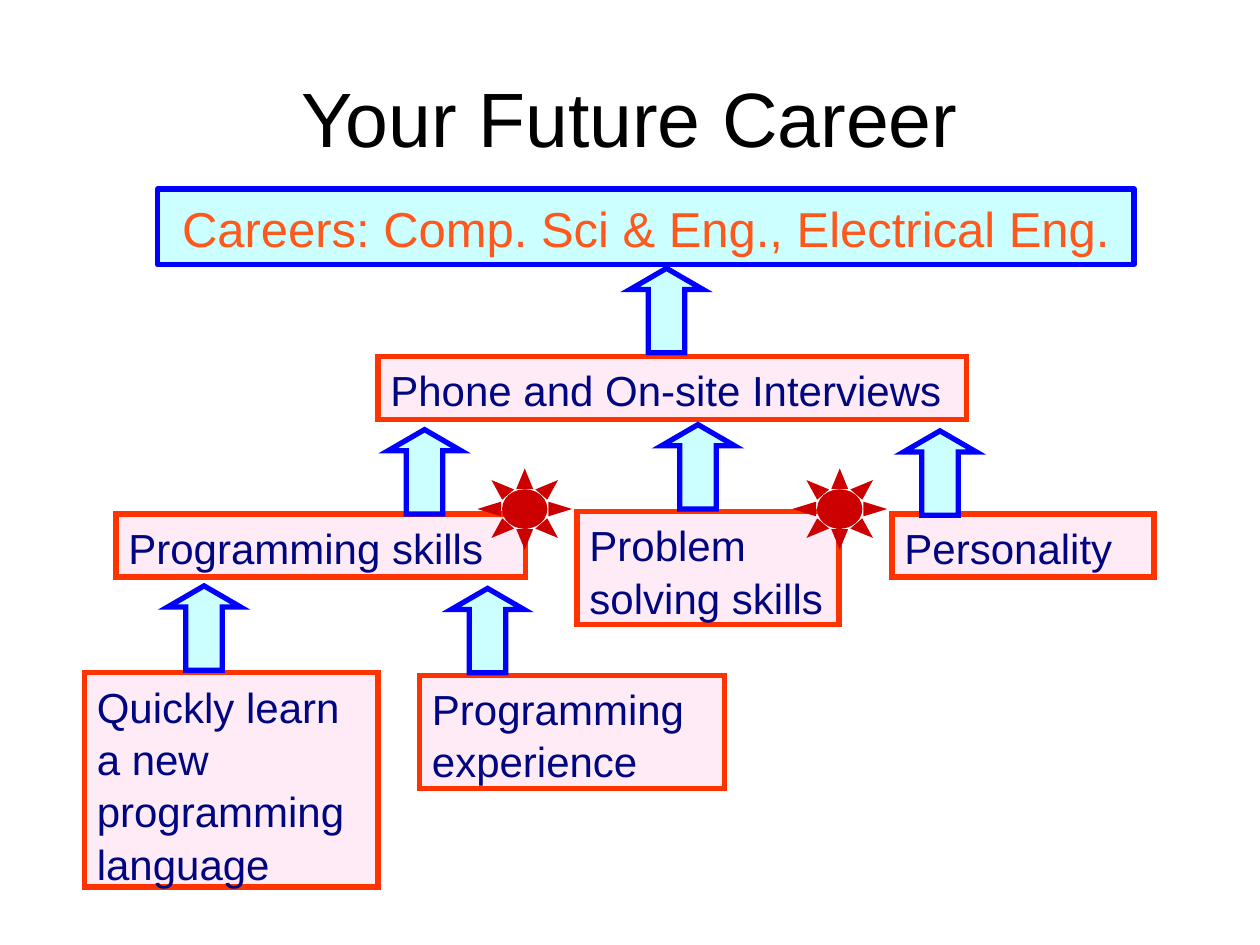
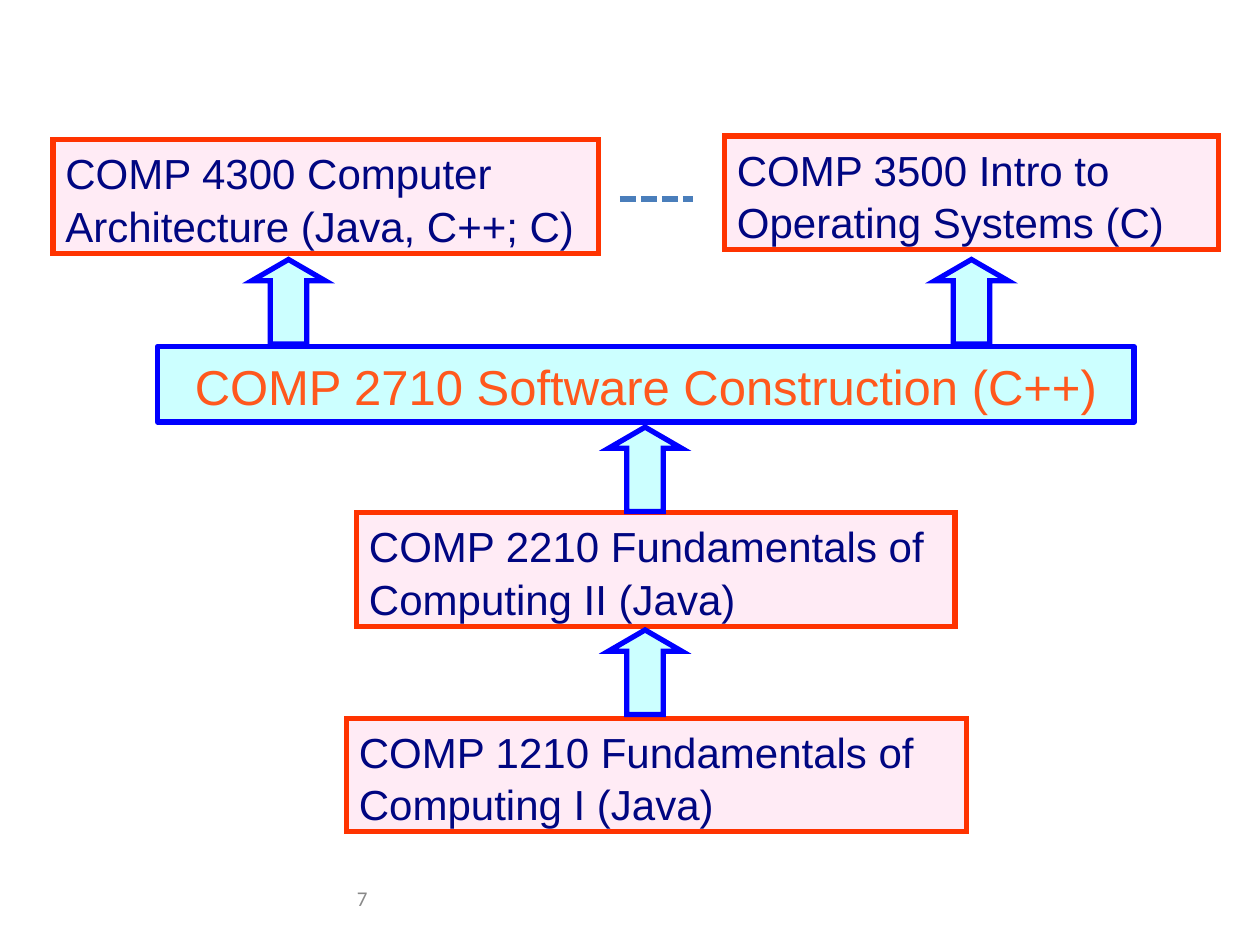
import dataclasses

import pptx
import pptx.dml.color
import pptx.enum.dml
import pptx.enum.shapes
import pptx.enum.text
import pptx.oxml
import pptx.oxml.ns
import pptx.shapes.autoshape
import pptx.slide
import pptx.text.text
import pptx.util

Inches = pptx.util.Inches
Pt = pptx.util.Pt
Shape = pptx.shapes.autoshape.Shape
Slide = pptx.slide.Slide
Forms = pptx.enum.shapes.MSO_SHAPE
Align = pptx.enum.text.PP_ALIGN
Anchor = pptx.enum.text.MSO_ANCHOR

COLORS = {
    "black": "000000",
    "gray": "898989",
    "aqua": "CCFFFF",
    "blue": "0000FF",
    "orange": "FF581D",
    "pink": "FFEBF5",
    "red": "FF3300",
    "navy": "000681",
    "sun": "CC0000",
    "dash": "4A7EBB",
}
ARROW = (0.58, 0.67)
SUN = (0.67, 0.58)
BANNER = (1.25, 7.75, 0.6)
ONE_LINE, TWO_LINES, FOUR_LINES = (0.1 + 0.4 * n for n in (1, 2, 4))


@dataclasses.dataclass(frozen=True)
class Look:
    fill: str
    line: str
    width: float = 3
    miter: bool = True


@dataclasses.dataclass(frozen=True)
class Type:
    size: float
    color: str
    align: Align = Align.LEFT
    anchor: Anchor = Anchor.TOP
    font: str = "Arial"
    space: float = 1.04


@dataclasses.dataclass(frozen=True)
class Box:
    text: str
    left: float
    top: float
    width: float
    height: float


@dataclasses.dataclass(frozen=True)
class Spot:
    left: float
    top: float


BOX_LOOK = Look("pink", "red")
ARROW_LOOK = Look("aqua", "blue")
BANNER_LOOK = Look("aqua", "blue", miter=False)
SUN_LOOK = Look("sun", "sun", 1.75)

BOX_TYPE = Type(24, "navy")
BANNER_TYPE = Type(28, "orange", Align.CENTER, Anchor.MIDDLE)
TITLE_TYPE = Type(44, "black", Align.CENTER, Anchor.MIDDLE, space=1)
PAGE_TYPE = Type(12, "gray", Align.CENTER, Anchor.MIDDLE, "Calibri", 1)

SKILLS = [
    Box("Phone and On-site Interviews", 3, 2.83, 4.67, ONE_LINE),
    Box("Programming skills", 0.92, 4.08, 3.25, ONE_LINE),
    Box("Problem solving skills", 4.58, 4.06, 2.08, TWO_LINES),
    Box("Personality", 7.08, 4.08, 2.08, ONE_LINE),
    Box("Quickly learn a new programming language", 0.67, 5.34, 2.33, FOUR_LINES),
    Box("Programming experience", 3.33, 5.36, 2.42, TWO_LINES),
]
SKILL_ARROWS = [
    Spot(5, 2.13),
    Spot(3.08, 3.41),
    Spot(5.25, 3.37),
    Spot(7.17, 3.42),
    Spot(1.33, 4.65),
    Spot(3.58, 4.67),
]
SUNS = [Spot(3.83, 3.75), Spot(6.33, 3.75)]

COURSES = [
    Box("COMP 1210 Fundamentals of Computing I (Java)", 2.75, 5.7, 4.92, TWO_LINES),
    Box("COMP 2210 Fundamentals of Computing II (Java)", 2.83, 4.07, 4.75, TWO_LINES),
    Box("COMP 4300 Computer Architecture (Java, C++; C)", 0.42, 1.11, 4.33, TWO_LINES),
    Box("COMP 3500 Intro to Operating Systems (C)", 5.75, 1.08, 3.92, TWO_LINES),
]
COURSE_ARROWS = [Spot(4.83, 5), Spot(4.83, 3.39), Spot(2, 2.06), Spot(7.42, 2.06)]


def get_color(name: str) -> pptx.dml.color.RGBColor:
    return pptx.dml.color.RGBColor.from_string(COLORS[name])


def write(frame: pptx.text.text.TextFrame, text: str, style: Type) -> None:
    frame.text = text
    frame.word_wrap = True
    frame.vertical_anchor = style.anchor
    line = frame.paragraphs[0]
    line.alignment = style.align
    line.line_spacing = style.space
    font = line.runs[0].font
    font.name = style.font
    font.size = Pt(style.size)
    font.color.rgb = get_color(style.color)


def draw(slide: Slide, form: Forms, left: float, top: float,
         width: float, height: float, look: Look) -> Shape:
    shape = slide.shapes.add_shape(
        form, Inches(left), Inches(top), Inches(width), Inches(height))
    shape.shadow.inherit = False
    shape.fill.solid()
    shape.fill.fore_color.rgb = get_color(look.fill)
    shape.line.color.rgb = get_color(look.line)
    shape.line.width = Pt(look.width)
    if look.miter:
        join = pptx.oxml.parse_xml(
            f'<a:miter {pptx.oxml.ns.nsdecls("a")} lim="800000"/>')
        shape.line._get_or_add_ln().append(join)
    return shape


def add_banner(slide: Slide, text: str, top: float) -> None:
    left, width, height = BANNER
    shape = draw(slide, Forms.RECTANGLE, left, top, width, height, BANNER_LOOK)
    write(shape.text_frame, text, BANNER_TYPE)


def add_boxes(slide: Slide, boxes: list[Box]) -> None:
    for box in boxes:
        shape = draw(slide, Forms.RECTANGLE, box.left, box.top,
                     box.width, box.height, BOX_LOOK)
        write(shape.text_frame, box.text, BOX_TYPE)


def add_arrows(slide: Slide, spots: list[Spot]) -> None:
    for spot in spots:
        shape = draw(slide, Forms.UP_ARROW, spot.left, spot.top, *ARROW, ARROW_LOOK)
        shape.adjustments[0] = 0.5
        shape.adjustments[1] = 0.29


def add_suns(slide: Slide, spots: list[Spot]) -> None:
    for spot in spots:
        draw(slide, Forms.SUN, spot.left, spot.top, *SUN, SUN_LOOK)


def add_title(slide: Slide, text: str) -> None:
    title = slide.shapes.title
    title.left, title.top = Inches(0.5), Inches(0.3)
    title.width, title.height = Inches(9), Inches(1.25)
    write(title.text_frame, text, TITLE_TYPE)


def add_dash(slide: Slide, left: float, right: float, top: float) -> None:
    dash = slide.shapes.add_connector(
        pptx.enum.shapes.MSO_CONNECTOR.STRAIGHT,
        Inches(left), Inches(top), Inches(right), Inches(top))
    dash.line.color.rgb = get_color("dash")
    dash.line.width = Pt(3)
    dash.line.dash_style = pptx.enum.dml.MSO_LINE.SQUARE_DOT
    dash._element.spPr.append(pptx.oxml.parse_xml(
        f'<a:effectLst {pptx.oxml.ns.nsdecls("a")}/>'))


def add_page(slide: Slide, text: str) -> None:
    page = slide.shapes.add_textbox(
        Inches(0.5), Inches(6.93), Inches(4.75), Inches(0.4))
    write(page.text_frame, text, PAGE_TYPE)


def build_career(deck: pptx.presentation.Presentation) -> None:
    slide = deck.slides.add_slide(deck.slide_layouts.get_by_name("Title Only"))
    add_title(slide, "Your Future Career")
    add_banner(slide, "Careers: Comp. Sci & Eng., Electrical Eng.", 1.5)
    add_boxes(slide, SKILLS)
    add_arrows(slide, SKILL_ARROWS)
    add_suns(slide, SUNS)


def build_courses(deck: pptx.presentation.Presentation) -> None:
    slide = deck.slides.add_slide(deck.slide_layouts.get_by_name("Blank"))
    add_page(slide, "7")
    add_banner(slide, "COMP 2710 Software Construction (C++)", 2.75)
    add_boxes(slide, COURSES)
    add_arrows(slide, COURSE_ARROWS)
    add_dash(slide, 4.92, 5.5, 1.58)


def main() -> None:
    deck = pptx.Presentation()
    deck.slide_width, deck.slide_height = Inches(10), Inches(7.5)
    build_career(deck)
    build_courses(deck)
    deck.save("out.pptx")


if __name__ == "__main__":
    main()
